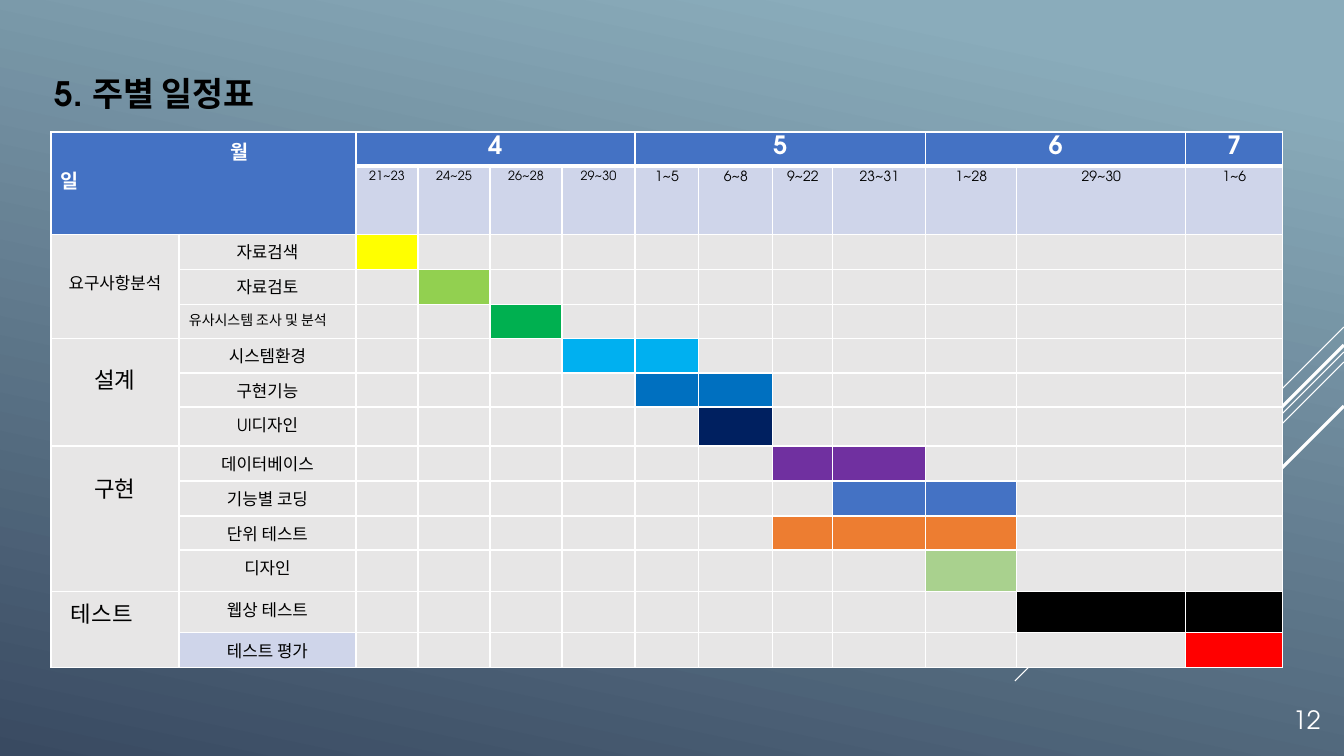
from lxml import etree
from pptx import Presentation
from pptx.dml.color import RGBColor
from pptx.enum.shapes import MSO_CONNECTOR
from pptx.enum.text import MSO_ANCHOR, PP_ALIGN
from pptx.oxml.ns import qn
from pptx.util import Pt

EMU_PER_PX = 914400 / 100.8
PAGE_WIDTH, PAGE_HEIGHT = 1344, 756
FONT = "TeX Gyre Adventor"
STRAIGHT = MSO_CONNECTOR.STRAIGHT
LEFT, CENTER = PP_ALIGN.LEFT, PP_ALIGN.CENTER
MIDDLE = MSO_ANCHOR.MIDDLE

COLORS = {
    "sky": "8AACBB", "night": "394A61", "white": "FFFFFF", "black": "000000",
    "header": "4472C4", "pale": "CFD5EA", "grid": "E7E6E6",
    "yellow": "FFFF00", "lime": "92D050", "green": "00B050",
    "cyan": "00B0F0", "blue": "0070C0", "navy": "002060",
    "purple": "7030A0", "orange": "ED7D31", "sage": "A9D18E", "red": "FF0000",
}

COLUMNS = [128, 177, 62, 72, 72, 73, 64, 74, 60, 93, 91, 169, 97]
ROWS = [34, 68, 35, 35, 34, 35, 34, 39, 35, 35, 34, 42, 41, 35]
FIRST_DAY_COLUMN, FIRST_TASK_ROW = 2, 2

# Month and number of date columns below it
MONTHS = [("4", 4), ("5", 4), ("6", 2), ("7", 1)]
DATES = ["21~23", "24~25", "26~28", "29~30", "1~5", "6~8", "9~22",
         "23~31", "1~28", "29~30", "1~6"]
# Phase, number of tasks, text size, top margin, left margin, alignment
PHASES = [
    ("요구사항분석", 3, 12, 36, 10, CENTER),
    ("설계", 3, 16, 25, 10, CENTER),
    ("구현", 4, 16, 26, 10, CENTER),
    ("테스트", 2, 16, 5, 20, LEFT),
]
# Task, first date column, number of date columns, bar colour
TASKS = [
    ("자료검색", 0, 1, "yellow"),
    ("자료검토", 1, 1, "lime"),
    ("유사시스템 조사 및 분석", 2, 1, "green"),
    ("시스템환경", 3, 2, "cyan"),
    ("구현기능", 4, 2, "blue"),
    ("UI디자인", 5, 1, "navy"),
    ("데이터베이스", 6, 2, "purple"),
    ("기능별 코딩", 7, 2, "header"),
    ("단위 테스트", 6, 3, "orange"),
    ("디자인", 8, 1, "sage"),
    ("웹상 테스트", 9, 2, "black"),
    ("테스트 평가", 10, 1, "red"),
]
# Diagonals from the right edge: start height, reach, line width
DIAGONALS = [(327, 101, 0.75), (352, 329, 0.75), (362, 209, 0.75),
             (345, 193, 2.25), (406, 140, 2.25)]


def px(length):
    return round(length * EMU_PER_PX)


def color(name):
    return RGBColor.from_string(COLORS[name])


def style_para(para, size, ink, bold=False, align=LEFT):
    para.alignment = align
    font = para.font
    font.name, font.size, font.bold = FONT, Pt(size), bold
    font.color.rgb = color(ink)


def paint_background(page):
    fill = page.background.fill
    fill.gradient()
    fill.gradient_angle = 258
    for stop, position, name in zip(fill.gradient_stops, (0.1, 1), ("sky", "night")):
        stop.position = position
        stop.color.rgb = color(name)


def add_diagonal(page, top, reach, width):
    line = page.shapes.add_connector(
        STRAIGHT, px(PAGE_WIDTH), px(top), px(PAGE_WIDTH - reach), px(top + reach))
    line.line.color.rgb = color("white")
    line.line.width = Pt(width)
    etree.SubElement(line._element.spPr, qn("a:effectLst"))


def add_text(page, text, bounds, size, ink, bold=False):
    box = page.shapes.add_textbox(*map(px, bounds))
    frame = box.text_frame
    frame.word_wrap = True
    frame.vertical_anchor = MIDDLE
    frame.margin_top = frame.margin_bottom = 0
    frame.text = text
    style_para(frame.paragraphs[0], size, ink, bold)


def set_borders(cell, top=1, bottom=1):
    properties = cell._tc.get_or_add_tcPr()
    sides = [("L", 1), ("R", 1), ("T", top), ("B", bottom)]
    for index, (side, width) in enumerate(sides):
        border = etree.Element(qn("a:ln" + side), w=str(Pt(width)))
        fill = etree.SubElement(border, qn("a:solidFill"))
        etree.SubElement(fill, qn("a:srgbClr"), val=COLORS["white"])
        properties.insert(index, border)


def paint_cell(cell, name):
    cell.fill.solid()
    cell.fill.fore_color.rgb = color(name)


def write_cell(cell, text, size, ink="black", bold=False, align=CENTER,
               top=5, bottom=5, left=10, right=10):
    cell.margin_top, cell.margin_bottom = px(top), px(bottom)
    cell.margin_left, cell.margin_right = px(left), px(right)
    cell.text_frame.text = text
    for para in cell.text_frame.paragraphs:
        style_para(para, size, ink, bold, align)


def add_grid(page):
    frame = page.shapes.add_table(len(ROWS), len(COLUMNS), px(51), px(132),
                                  px(sum(COLUMNS)), px(sum(ROWS)))
    table = frame.table
    table.first_row = table.horz_banding = False
    for column, width in zip(table.columns, COLUMNS):
        column.width = px(width)
    for index, (row, height) in enumerate(zip(table.rows, ROWS)):
        row.height = px(height)
        for column, cell in enumerate(row.cells):
            in_header = index == 0 or (index == 1 and column < FIRST_DAY_COLUMN)
            paint_cell(cell, "header" if in_header else "pale" if index == 1 else "grid")
            is_day = column >= FIRST_DAY_COLUMN
            set_borders(cell, top=3 if index == 1 and is_day else 1,
                        bottom=3 if index == 0 and is_day else 1)
            # Small empty text keeps the row at its set height
            etree.SubElement(cell.text_frame.paragraphs[0]._p,
                             qn("a:endParaRPr"), sz="900")
    return table


def fill_header(table):
    corner = table.cell(0, 0)
    corner.merge(table.cell(1, 1))
    write_cell(corner, "월\n일", 14, "white", True, LEFT)
    month_para = corner.text_frame.paragraphs[0]
    month_para._p.get_or_add_pPr().set("marL", str(px(170)))

    column = FIRST_DAY_COLUMN
    for month, span in MONTHS:
        cell = table.cell(0, column)
        if span > 1:
            cell.merge(table.cell(0, column + span - 1))
        write_cell(cell, month, 18, "white", True, top=4, bottom=0)
        column += span

    for index, date in enumerate(DATES):
        write_cell(table.cell(1, FIRST_DAY_COLUMN + index), date,
                   9 if index < 4 else 10, top=5, bottom=0, left=3, right=3)


def fill_phases(table):
    row = FIRST_TASK_ROW
    for phase, span, size, top, left, align in PHASES:
        cell = table.cell(row, 0)
        cell.merge(table.cell(row + span - 1, 0))
        write_cell(cell, phase, size, align=align, top=top, left=left)
        row += span


def fill_tasks(table):
    for row, (task, start, span, name) in enumerate(TASKS, FIRST_TASK_ROW):
        is_long = len(task) > 10
        write_cell(table.cell(row, 1), task, 10 if is_long else 12,
                   align=LEFT if is_long else CENTER)
        for day in range(start, start + span):
            paint_cell(table.cell(row, FIRST_DAY_COLUMN + day), name)
    paint_cell(table.cell(len(ROWS) - 1, 1), "pale")


def main():
    deck = Presentation()
    deck.slide_width, deck.slide_height = px(PAGE_WIDTH), px(PAGE_HEIGHT)
    page = deck.slides.add_slide(deck.slide_layouts[6])

    # Backdrop
    paint_background(page)
    for diagonal in DIAGONALS:
        add_diagonal(page, *diagonal)

    # Title
    add_text(page, "5. 주별 일정표", (45, 69, 940, 48), 24, "black", True)

    # Schedule
    table = add_grid(page)
    fill_header(table)
    fill_phases(table)
    fill_tasks(table)

    # Page number
    add_text(page, "12", (1283, 699, 61, 40), 18, "white")
    deck.save("out.pptx")


if __name__ == "__main__":
    main()
